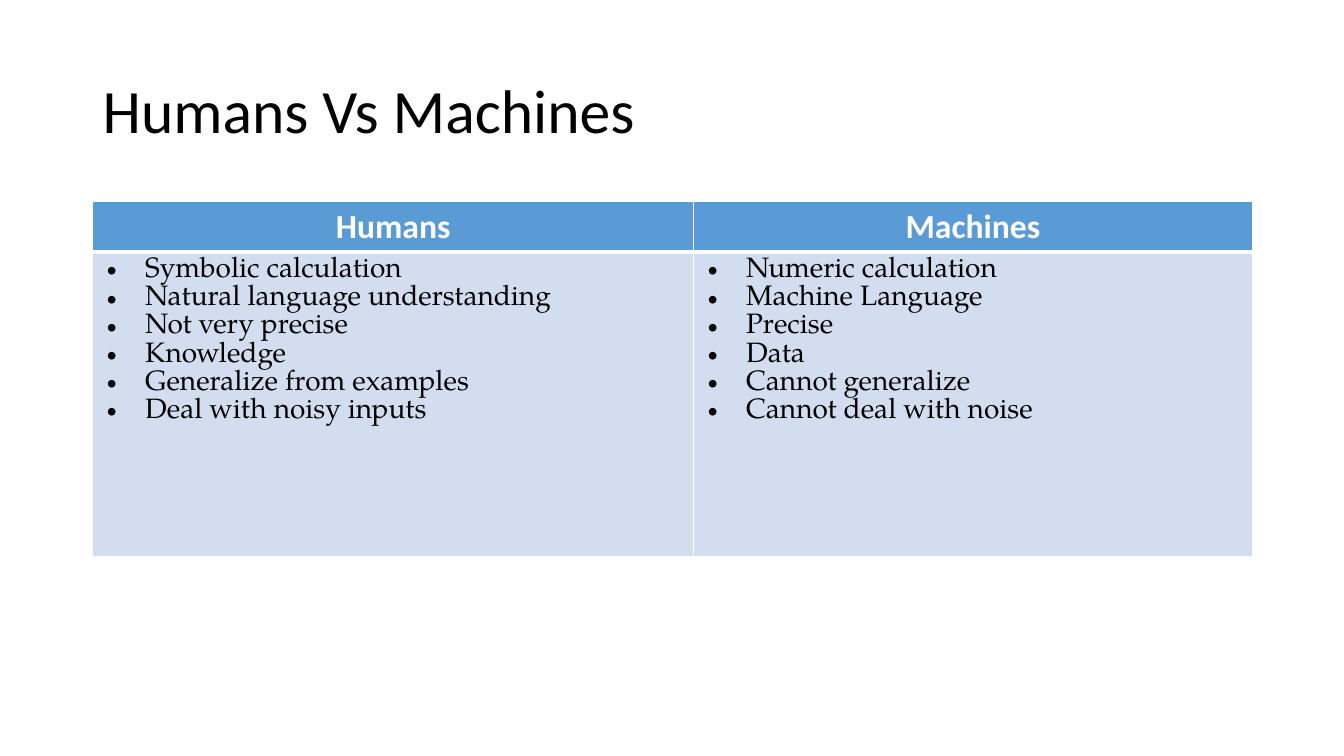
from dataclasses import dataclass

from lxml import etree
from pptx import Presentation
from pptx.dml.color import RGBColor
from pptx.enum.text import MSO_ANCHOR, PP_ALIGN
from pptx.oxml.ns import qn
from pptx.util import Pt

MIDDLE, TOP = MSO_ANCHOR.MIDDLE, MSO_ANCHOR.TOP
CENTER, LEFT = PP_ALIGN.CENTER, PP_ALIGN.LEFT
EMU_PER_PX = 9144
BLANK_LAYOUT = 6


@dataclass(frozen=True)
class TextStyle:
    font: str
    size: int
    color: str
    bold: bool = False


@dataclass(frozen=True)
class Theme:
    title: TextStyle = TextStyle("Calibri", 44, "000000")
    header: TextStyle = TextStyle("Calibri", 24, "FFFFFF", True)
    body: TextStyle = TextStyle("TeX Gyre Pagella", 20, "000000")
    header_fill: str = "5B9BD5"
    body_fill: str = "D2DEEF"
    border: str = "FFFFFF"


@dataclass(frozen=True)
class Column:
    heading: str
    width: int
    traits: tuple[str, ...]


THEME = Theme()
COLUMNS = (
    Column("Humans", 596, (
        "Symbolic calculation",
        "Natural language understanding",
        "Not very precise",
        "Knowledge",
        "Generalize from examples",
        "Deal with noisy inputs",
    )),
    Column("Machines", 554, (
        "Numeric calculation",
        "Machine Language",
        "Precise",
        "Data",
        "Cannot generalize",
        "Cannot deal with noise",
    )),
)
ROW_HEIGHTS = (49, 302)
BULLET_INDENT = 38


def px(length: int) -> int:
    return length * EMU_PER_PX


def set_all(target, values: dict) -> None:
    for name, value in values.items():
        setattr(target, name, value)


def write_paragraph(para, text: str, style: TextStyle, alignment=LEFT) -> None:
    para.alignment = alignment
    span = para.add_run()
    span.text = text
    set_all(span.font, {"name": style.font, "size": Pt(style.size), "bold": style.bold})
    span.font.color.rgb = RGBColor.from_string(style.color)


def add_bullet(para) -> None:
    properties = para._p.get_or_add_pPr()
    properties.set("marL", str(px(BULLET_INDENT)))
    properties.set("indent", str(-px(BULLET_INDENT)))
    etree.SubElement(properties, qn("a:buFont"), typeface="Arial")
    etree.SubElement(properties, qn("a:buChar"), char="•")


def format_cell(cell, fill: str, bottom_width: int) -> None:
    set_all(cell, {
        "margin_left": px(14), "margin_right": px(14),
        "margin_top": px(5), "margin_bottom": px(5),
        "vertical_anchor": TOP,
    })
    properties = cell._tc.get_or_add_tcPr()
    for side, width in (("L", 1), ("R", 1), ("T", 1), ("B", bottom_width)):
        line = etree.SubElement(properties, qn(f"a:ln{side}"), w=str(Pt(width)))
        paint = etree.SubElement(line, qn("a:solidFill"))
        etree.SubElement(paint, qn("a:srgbClr"), val=THEME.border)
    cell.fill.solid()
    cell.fill.fore_color.rgb = RGBColor.from_string(fill)


def add_title(page, text: str) -> None:
    box = page.shapes.add_textbox(px(92), px(40), px(1150), px(145))
    set_all(box.text_frame, {"word_wrap": True, "vertical_anchor": MIDDLE})
    para = box.text_frame.paragraphs[0]
    para.line_spacing = 0.9
    write_paragraph(para, text, THEME.title)


def add_comparison(page, columns: tuple[Column, ...]) -> None:
    width = sum(column.width for column in columns)
    table = page.shapes.add_table(
        len(ROW_HEIGHTS), len(columns), px(92), px(200), px(width), px(sum(ROW_HEIGHTS))
    ).table
    table.horz_banding = False
    for row, height in zip(table.rows, ROW_HEIGHTS):
        row.height = px(height)
    for index, column in enumerate(columns):
        table.columns[index].width = px(column.width)
        header, body = table.cell(0, index), table.cell(1, index)
        format_cell(header, THEME.header_fill, 3)
        write_paragraph(header.text_frame.paragraphs[0], column.heading, THEME.header, CENTER)
        format_cell(body, THEME.body_fill, 1)
        frame = body.text_frame
        for position, trait in enumerate(column.traits):
            para = frame.add_paragraph() if position else frame.paragraphs[0]
            add_bullet(para)
            write_paragraph(para, trait, THEME.body)


def main() -> None:
    deck = Presentation()
    set_all(deck, {"slide_width": px(1333), "slide_height": px(750)})
    page = deck.slides.add_slide(deck.slide_layouts[BLANK_LAYOUT])
    add_title(page, "Humans Vs Machines")
    add_comparison(page, COLUMNS)
    deck.save("out.pptx")


if __name__ == "__main__":
    main()
